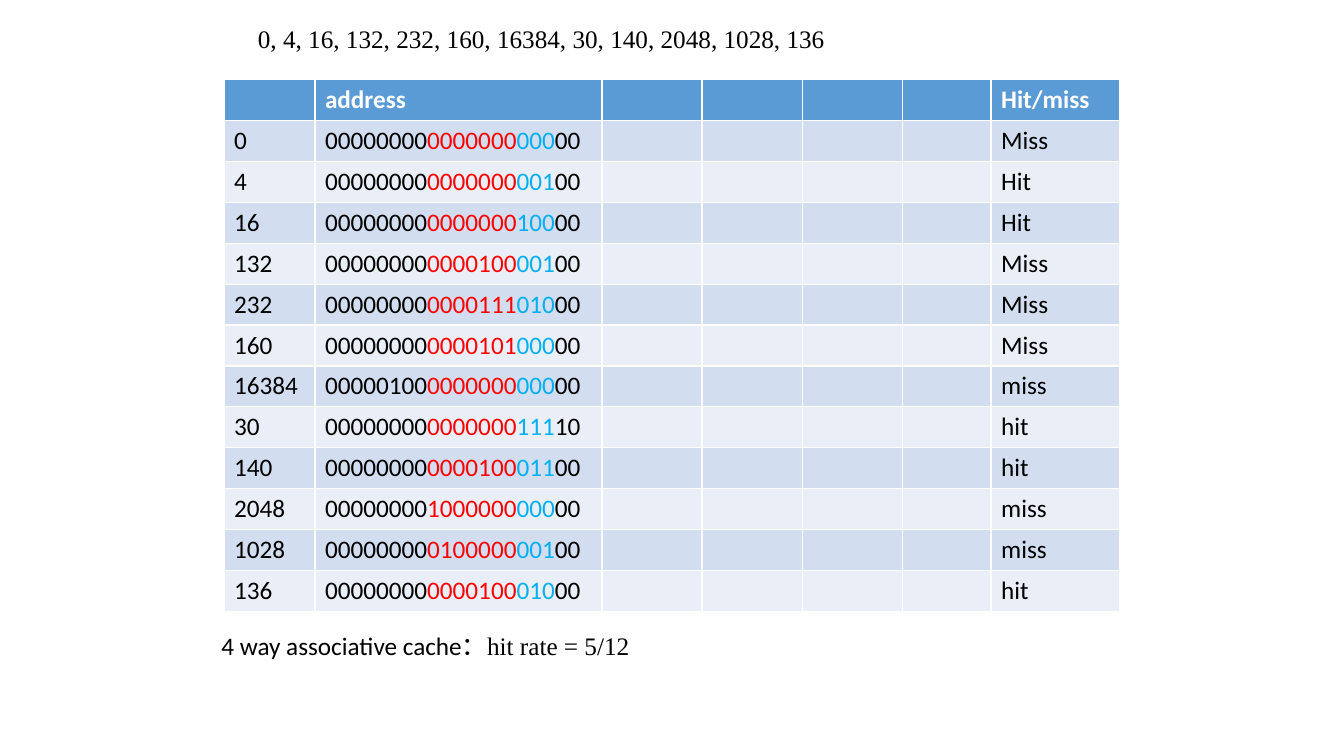
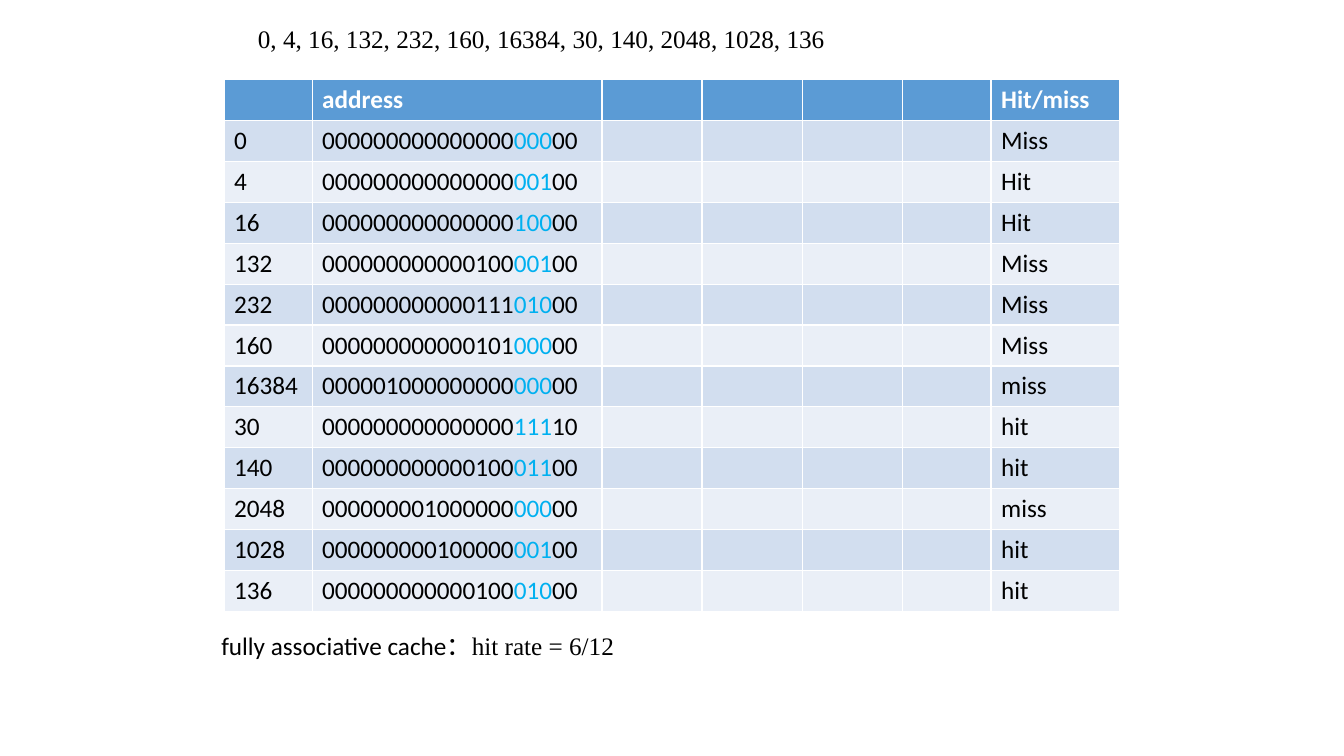
"""Build two slides that trace cache hits and misses for one address list."""
from pptx import Presentation
from pptx.dml.color import RGBColor
from pptx.enum.text import MSO_ANCHOR as Anchor, MSO_AUTO_SIZE as Fit, PP_ALIGN as Align
from pptx.util import Pt

SANS, SERIF = "Calibri", "Times New Roman"
BLACK, WHITE, RED, BLUE = "000000", "FFFFFF", "FF0000", "00B0F0"
HEAD, BANDS = "5B9BD5", ("D2DEEF", "EAEFF7")
CALLS = [0, 4, 16, 132, 232, 160, 16384, 30, 140, 2048, 1028, 136]
TITLE = ", ".join(str(call) for call in CALLS)
START = "Miss Hit Hit Miss Miss Miss miss hit hit miss"
ROW = 29.2

CACHES = [
    {
        "name": "4 way associative cache",
        "rate": "：hit rate = 5/12",
        "ends": f"{START} miss hit",
        "bits": [(8, BLACK), (7, RED), (3, BLUE), (2, BLACK)],
        "cols": [65, 205],
    },
    {
        "name": "fully associative cache",
        "rate": "：hit rate = 6/12",
        "ends": f"{START} hit hit",
        "bits": [(15, BLACK), (3, BLUE), (2, BLACK)],
        "cols": [63, 207],
    },
]
REST = [71.5, 71.5, 71.5, 63.5, 91.5]


def color(text):
    return RGBColor.from_string(text)


def write(para, text, hue=BLACK, face=SANS, bold=False):
    run = para.add_run()
    run.text = text
    run.font.name, run.font.size, run.font.bold = face, Pt(18), bold
    run.font.color.rgb = color(hue)


deck = Presentation()
deck.slide_width, deck.slide_height = Pt(960), Pt(540)

for cache in CACHES:
    slide = deck.slides.add_slide(deck.slide_layouts[5])

    title = slide.shapes.title
    title.left, title.top, title.width, title.height = Pt(177), Pt(13), Pt(428), Pt(29)
    frame = title.text_frame
    frame.word_wrap, frame.auto_size = False, Fit.NONE
    frame.vertical_anchor = Anchor.TOP
    frame.paragraphs[0].alignment = Align.LEFT
    write(frame.paragraphs[0], TITLE, face=SERIF)

    cols = cache["cols"] + REST
    count = len(CALLS) + 1
    table = slide.shapes.add_table(
        count, len(cols), Pt(160), Pt(57), Pt(sum(cols)), Pt(ROW * count)
    ).table
    for col, width in zip(table.columns, cols):
        col.width = Pt(width)
    for i, row in enumerate(table.rows):
        row.height = Pt(ROW)
        for cell in row.cells:
            cell.fill.solid()
            cell.fill.fore_color.rgb = color(BANDS[(i - 1) % 2] if i else HEAD)
            cell.text_frame.paragraphs[0].font.size = Pt(18)

    last = len(cols) - 1
    for j, label in [(1, "address"), (last, "Hit/miss")]:
        write(table.cell(0, j).text_frame.paragraphs[0], label, WHITE, bold=True)
    for i, (call, end) in enumerate(zip(CALLS, cache["ends"].split()), 1):
        write(table.cell(i, 0).text_frame.paragraphs[0], str(call))
        write(table.cell(i, last).text_frame.paragraphs[0], end)
        bits, pos = f"{call:020b}", 0
        for size, hue in cache["bits"]:
            write(table.cell(i, 1).text_frame.paragraphs[0], bits[pos:pos + size], hue)
            pos += size

    note = slide.shapes.add_textbox(Pt(151), Pt(447), Pt(309), Pt(29)).text_frame
    note.word_wrap = True
    write(note.paragraphs[0], cache["name"])
    write(note.paragraphs[0], cache["rate"], face=SERIF)

deck.save("out.pptx")
